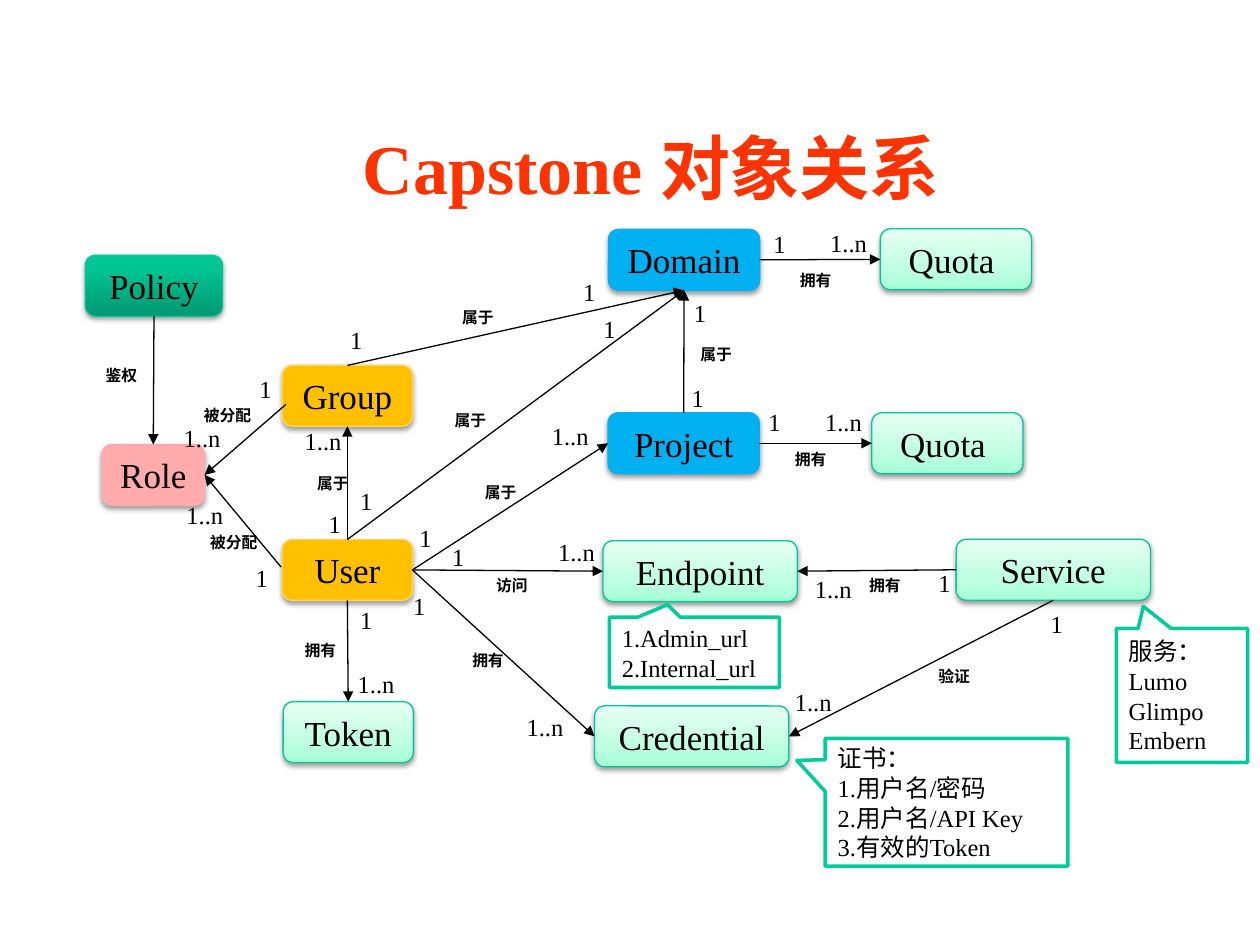
from dataclasses import dataclass
from typing import Optional

from lxml.etree import SubElement
from pptx import Presentation
from pptx.dml.color import RGBColor
from pptx.enum.shapes import MSO_CONNECTOR, MSO_SHAPE
from pptx.enum.text import MSO_ANCHOR, MSO_AUTO_SIZE, PP_ALIGN
from pptx.oxml.ns import qn
from pptx.util import Pt

BLACK = RGBColor(0x00, 0x00, 0x00)
WHITE = RGBColor(0xFF, 0xFF, 0xFF)
TITLE_RED = RGBColor(0xFF, 0x33, 0x00)
AMBER = RGBColor(0xFF, 0xC0, 0x00)
AMBER_EDGE = RGBColor(0xFF, 0xD7, 0x57)
PINK = RGBColor(0xFF, 0xAB, 0xAB)
BLUE = RGBColor(0x00, 0xB0, 0xF0)
GREEN_EDGE = RGBColor(0x00, 0xC8, 0x96)
CALLOUT_GREEN = RGBColor(0x00, 0xCC, 0x98)
MINT_STOPS = ((0, RGBColor(0xA5, 0xFF, 0xD6)), (35, RGBColor(0xBF, 0xFF, 0xE2)),
              (100, RGBColor(0xE7, 0xFF, 0xF3)))
GREEN_STOPS = ((0, RGBColor(0x00, 0x98, 0x72)), (80, RGBColor(0x00, 0xC6, 0x94)),
               (100, RGBColor(0x00, 0xC7, 0x95)))

LATIN_FONT = "Times New Roman"
CJK_FONT = "Noto Sans CJK SC"
BOX_HEIGHT = 34.8
TOP, LEFT, BOTTOM, RIGHT = range(4)
ONE, MANY = "1", "1..n"


@dataclass(frozen=True)
class Style:
    stops: tuple
    edge: RGBColor


@dataclass(frozen=True)
class Box:
    text: str
    left: float
    top: float
    width: float
    style: Style


@dataclass(frozen=True)
class Label:
    text: str
    left: float
    top: float
    width: Optional[float] = None


@dataclass(frozen=True)
class Relation:
    source: str
    source_side: int
    target: str
    target_side: int
    labels: tuple
    start: Optional[tuple] = None


@dataclass(frozen=True)
class Callout:
    text: str
    left: float
    top: float
    width: float
    height: float
    pointer: tuple


MINT = Style(MINT_STOPS, GREEN_EDGE)
GREEN = Style(GREEN_STOPS, GREEN_EDGE)
YELLOW = Style(((0, AMBER),), AMBER_EDGE)
ROSE = Style(((0, PINK),), PINK)
SKY = Style(((0, BLUE),), BLUE)

BOXES = {
    "group": Box("Group", 161.3, 208.8, 74.4, YELLOW),
    "user": Box("User", 161.3, 308.3, 74.4, YELLOW),
    "role": Box("Role", 58.3, 254, 58.6, ROSE),
    "credential": Box("Credential", 339.8, 403.4, 111, MINT),
    "service": Box("Service", 546.4, 308.2, 111, MINT),
    "endpoint": Box("Endpoint", 344.6, 309, 111, MINT),
    "token": Box("Token", 161.8, 401, 74.4, MINT),
    "policy": Box("Policy", 48.8, 145.9, 78.4, GREEN),
    "project": Box("Project", 347.5, 235.9, 86.4, SKY),
    "project quota": Box("Quota ", 498.2, 235.9, 86.4, MINT),
    "domain": Box("Domain", 347.7, 131.1, 86.4, SKY),
    "domain quota": Box("Quota ", 503.1, 130.8, 86.4, MINT),
}

RELATIONS = (
    Relation("group", LEFT, "role", RIGHT, (
        Label(ONE, 141.1, 210.2, 24.5), Label(MANY, 97.9, 238.3), Label("被分配", 109.4, 228.2)),
        (163.4, 231.1)),
    Relation("user", LEFT, "role", RIGHT, (
        Label(MANY, 99.4, 282.2, 36.7), Label(ONE, 139, 318.2, 23), Label("被分配", 113, 301)),
        (160.6, 324)),
    Relation("user", TOP, "group", BOTTOM, (
        Label(MANY, 167, 239.8, 44.6), Label(ONE, 180.7, 287.3), Label("属于", 174.2, 267.1))),
    Relation("user", RIGHT, "project", LEFT, (
        Label(ONE, 232.6, 295.2), Label(MANY, 308.2, 236.9), Label("属于", 270, 272.2))),
    Relation("project", RIGHT, "project quota", LEFT, (
        Label(MANY, 464.4, 229), Label("拥有", 447.1, 253.4), Label(ONE, 432, 229))),
    Relation("user", RIGHT, "credential", LEFT, (
        Label(ONE, 229, 334.1), Label("拥有", 262.8, 368.6), Label(MANY, 293.8, 403.2))),
    Relation("user", RIGHT, "endpoint", LEFT, (
        Label(ONE, 251.3, 306), Label(MANY, 311.8, 303.1), Label("访问", 276.5, 325.4))),
    Relation("service", LEFT, "endpoint", RIGHT, (
        Label("拥有", 489.6, 325.4), Label(ONE, 529.2, 321.1), Label(MANY, 458.6, 324.7))),
    Relation("service", BOTTOM, "credential", RIGHT, (
        Label(MANY, 447.1, 388.8), Label(ONE, 593.3, 344.2), Label("验证", 529.2, 377.3))),
    Relation("policy", BOTTOM, "role", TOP, (Label("鉴权", 53.3, 205.2, 35.3),)),
    Relation("group", TOP, "domain", BOTTOM, (
        Label(ONE, 193, 182.2), Label(ONE, 326.2, 154.8), Label("属于", 257, 172.1))),
    Relation("user", TOP, "domain", BOTTOM, (
        Label(ONE, 198.7, 274.3), Label(ONE, 337.7, 175.7, 15.8), Label("属于", 252.7, 231.1))),
    Relation("project", TOP, "domain", BOTTOM, (
        Label(ONE, 388.1, 215.3), Label(ONE, 389.5, 167), Label("属于", 393.1, 193.7, 37.4))),
    Relation("domain", RIGHT, "domain quota", LEFT, (
        Label(MANY, 467.3, 126.7), Label("拥有", 450, 151.2), Label(ONE, 434.9, 127.4, 22.3))),
    Relation("user", BOTTOM, "token", TOP, (
        Label(ONE, 198.7, 342), Label("拥有", 167, 362.9), Label(MANY, 197.3, 378.7, 36.7))),
)

CALLOUTS = (
    Callout("证书：\n1.用户名/密码\n2.用户名/API Key\n3.有效的Token",
            471.6, 421.9, 138.6, 73, (-0.617, -0.327)),
    Callout("服务：\nLumo\nGlimpo\nEmbern", 637.9, 359.1, 75, 76.6, (-0.294, -0.664)),
    Callout("1.Admin_url\n2.Internal_url", 348.2, 352.7, 97.2, 40.2, (-0.158, -0.678)),
)


def format_text(text_frame, size: float, color=BLACK, bold=False,
                alignment=PP_ALIGN.LEFT, latin=LATIN_FONT) -> None:
    for paragraph in text_frame.paragraphs:
        paragraph.alignment = alignment
        for run in paragraph.runs:
            run.font.size = Pt(size)
            run.font.bold = bold
            run.font.name = latin
            run.font.color.rgb = color
            SubElement(run.font._element, qn("a:ea"), typeface=CJK_FONT)


def fill_shape(shape, stops: tuple) -> None:
    if len(stops) == 1:
        shape.fill.solid()
        shape.fill.fore_color.rgb = stops[0][1]
        return
    shape.fill.gradient()
    shape.fill.gradient_angle = 90
    stop_list = shape._element.spPr.find(qn("a:gradFill")).find(qn("a:gsLst"))
    for old_stop in list(stop_list):
        stop_list.remove(old_stop)
    for position, color in stops:
        stop = SubElement(stop_list, qn("a:gs"), pos=str(position * 1000))
        SubElement(stop, qn("a:srgbClr"), val=str(color))


def add_soft_shadow(shape) -> None:
    effects = shape._element.spPr.find(qn("a:effectLst"))
    shadow = SubElement(effects, qn("a:outerShdw"), blurRad=str(Pt(3.1)), dist=str(Pt(1.6)),
                        dir="5400000", rotWithShape="0")
    color = SubElement(shadow, qn("a:srgbClr"), val=str(BLACK))
    SubElement(color, qn("a:alpha"), val="38000")


def add_panel(slide, kind, item, height: float, stops: tuple, edge: RGBColor, weight: float):
    shape = slide.shapes.add_shape(kind, Pt(item.left), Pt(item.top), Pt(item.width), Pt(height))
    shape.shadow.inherit = False
    fill_shape(shape, stops)
    shape.line.color.rgb = edge
    shape.line.width = Pt(weight)
    shape.text_frame.text = item.text
    shape.text_frame.vertical_anchor = MSO_ANCHOR.MIDDLE
    return shape


def add_box(slide, box: Box):
    shape = add_panel(slide, MSO_SHAPE.ROUNDED_RECTANGLE, box, BOX_HEIGHT,
                      box.style.stops, box.style.edge, 0.75)
    add_soft_shadow(shape)
    shape.text_frame.word_wrap = False
    format_text(shape.text_frame, 20, alignment=PP_ALIGN.CENTER)
    return shape


def add_callout(slide, callout: Callout) -> None:
    shape = add_panel(slide, MSO_SHAPE.RECTANGULAR_CALLOUT, callout, callout.height,
                      ((0, WHITE),), CALLOUT_GREEN, 2)
    shape.adjustments[0], shape.adjustments[1] = callout.pointer
    format_text(shape.text_frame, 14)
    for paragraph in shape.text_frame.paragraphs:
        paragraph.line_spacing = Pt(17)


def add_label(slide, label: Label) -> None:
    is_count = label.text in (ONE, MANY)
    width = label.width or {ONE: 28, MANY: 49}.get(label.text, 43.2)
    text_box = slide.shapes.add_textbox(Pt(label.left), Pt(label.top), Pt(width),
                                        Pt(24.2 if is_count else 18.2))
    text_frame = text_box.text_frame
    text_frame.word_wrap = True
    text_frame.auto_size = MSO_AUTO_SIZE.SHAPE_TO_FIT_TEXT
    text_frame.text = label.text
    if is_count:
        format_text(text_frame, 14)
    else:
        format_text(text_frame, 9, bold=True, latin=CJK_FONT)


def add_relation(slide, shapes: dict, relation: Relation) -> None:
    start_x, start_y = relation.start or (0, 0)
    connector = slide.shapes.add_connector(MSO_CONNECTOR.STRAIGHT, Pt(start_x), Pt(start_y),
                                           Pt(start_x), Pt(start_y))
    if relation.start is None:
        connector.begin_connect(shapes[relation.source], relation.source_side)
    connector.end_connect(shapes[relation.target], relation.target_side)
    connector.line.color.rgb = BLACK
    connector.line.width = Pt(0.75)
    properties = connector._element.spPr
    SubElement(properties.find(qn("a:ln")), qn("a:tailEnd"), type="triangle")
    SubElement(properties, qn("a:effectLst"))
    for label in relation.labels:
        add_label(slide, label)


def add_title(slide, text: str) -> None:
    title = slide.shapes.title
    title.left, title.top, title.width, title.height = Pt(66.2), Pt(59.8), Pt(612), Pt(66.2)
    title.text_frame.text = text
    title.text_frame.vertical_anchor = MSO_ANCHOR.MIDDLE
    title.text_frame.paragraphs[0].line_spacing = 1.1
    format_text(title.text_frame, 40, TITLE_RED, True, PP_ALIGN.CENTER)


def main() -> None:
    presentation = Presentation()
    presentation.slide_width, presentation.slide_height = Pt(720), Pt(540)
    slide = presentation.slides.add_slide(presentation.slide_layouts[5])
    add_title(slide, "Capstone 对象关系")
    shapes = {name: add_box(slide, box) for name, box in BOXES.items()}
    for relation in RELATIONS:
        add_relation(slide, shapes, relation)
    for callout in CALLOUTS:
        add_callout(slide, callout)
    presentation.save("out.pptx")


if __name__ == "__main__":
    main()
